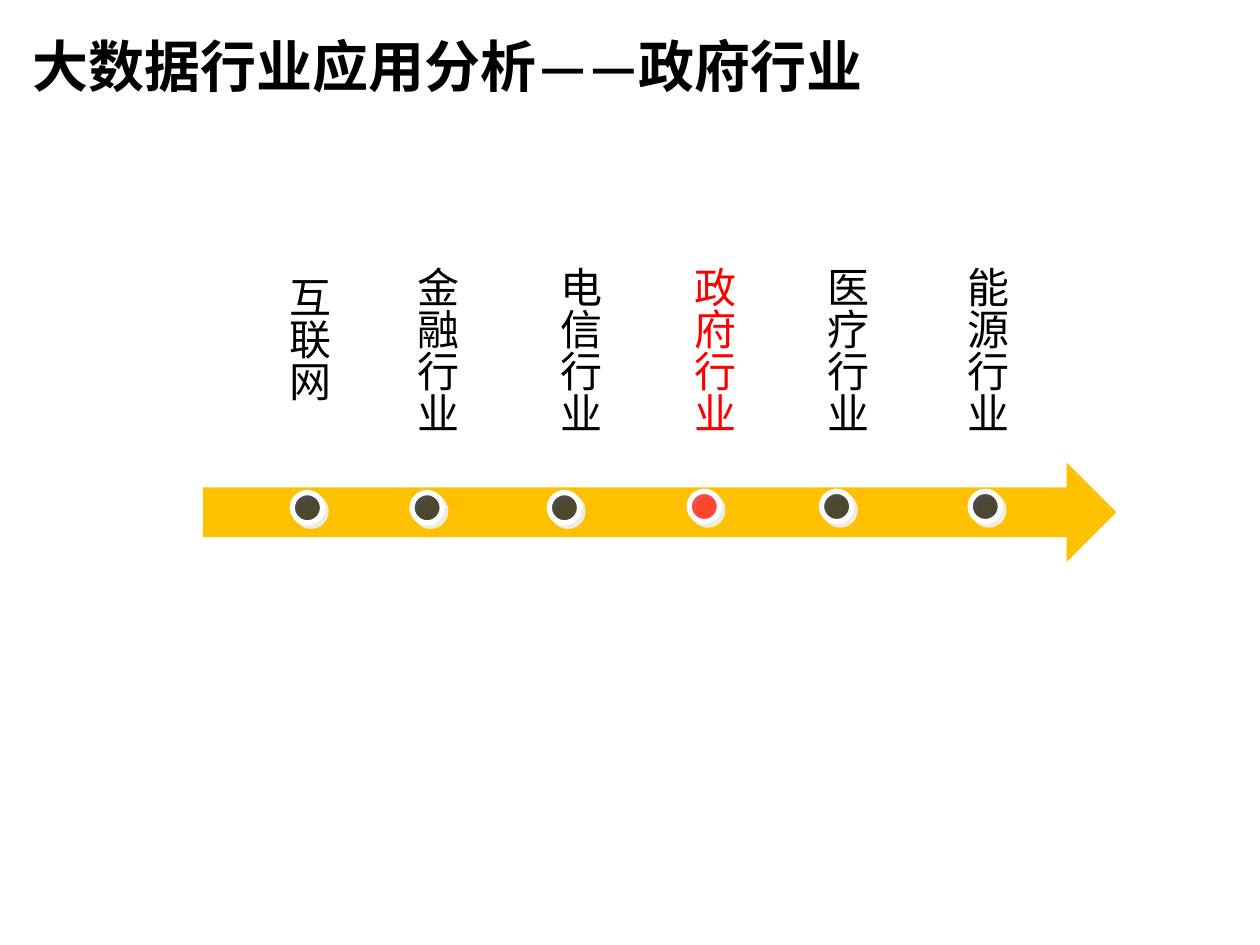
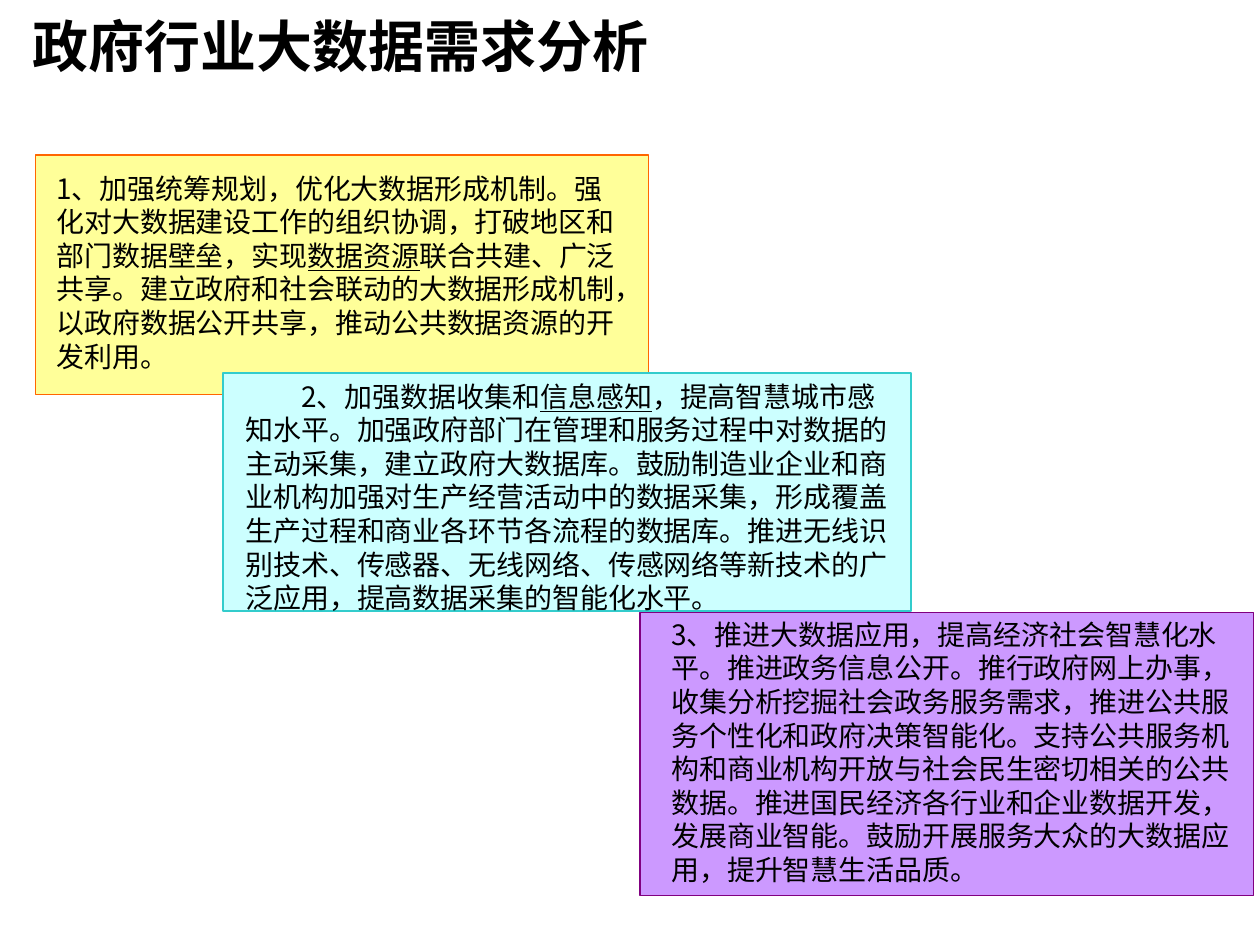
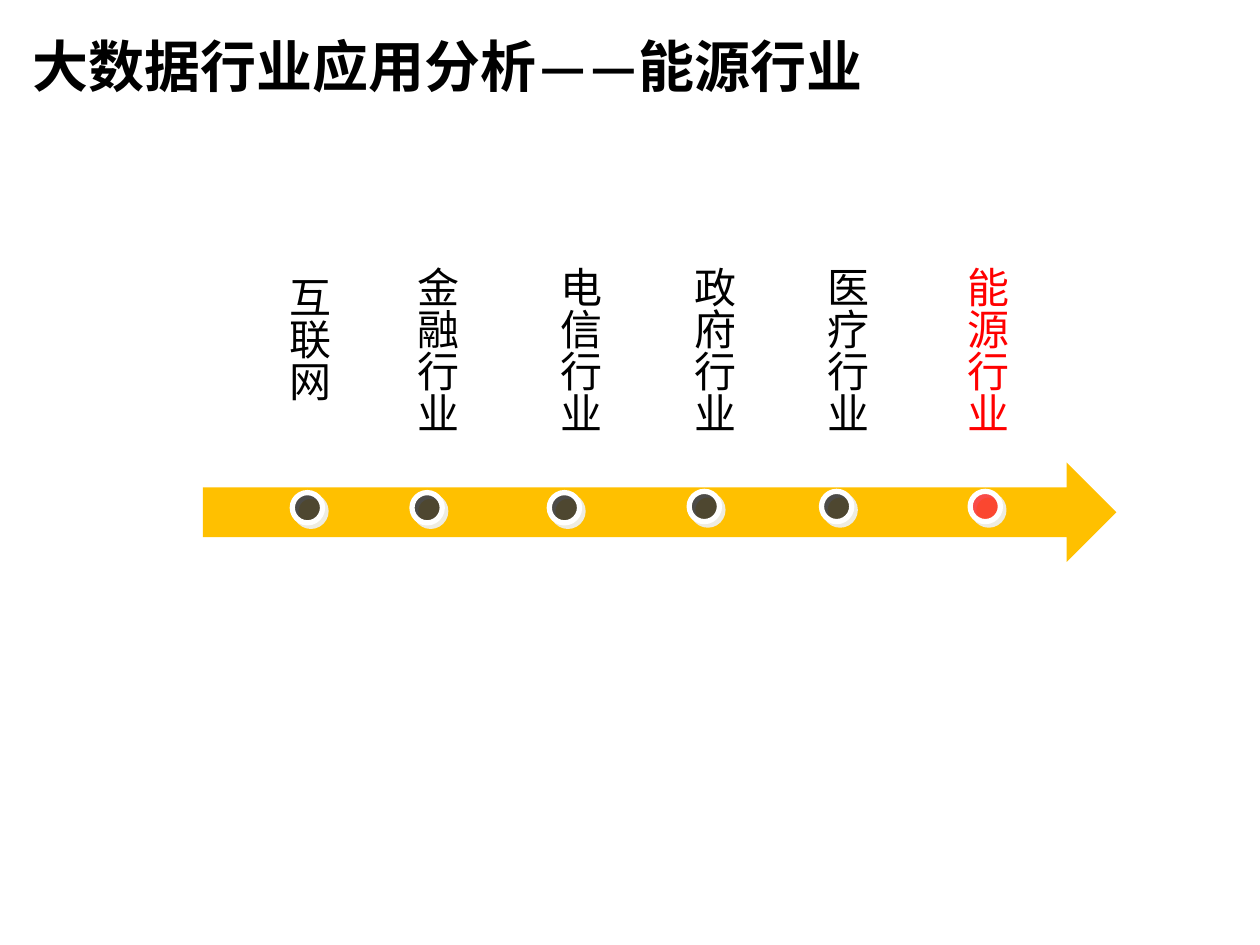
from lxml import etree
from pptx import Presentation
from pptx.dml.color import RGBColor
from pptx.enum.shapes import MSO_SHAPE as Shape
from pptx.enum.text import MSO_ANCHOR as Anchor, MSO_AUTO_SIZE as AutoSize, PP_ALIGN as Align
from pptx.oxml import parse_xml
from pptx.oxml.ns import nsdecls, qn
from pptx.util import Inches, Pt

BLACK, WHITE, RED, AMBER, SHADOW = "000000", "FFFFFF", "FF0000", "FFC000", "EEECE1"
TITLE_FONT, BODY_FONT = "Calibri", "Noto Sans CJK SC"


def color(hex_code):
    return RGBColor.from_string(hex_code)


def write(shape, text, size=16, font=BODY_FONT, hex_code=BLACK, bold=False,
          underlined="", indent=0, line_spacing=1.2, anchor=Anchor.TOP, vertical=False):
    frame = shape.text_frame
    frame.word_wrap = True
    frame.auto_size = AutoSize.NONE
    frame.vertical_anchor = anchor
    if vertical:
        frame._txBody.bodyPr.set("vert", "eaVert")
    paragraph = frame.paragraphs[0]
    paragraph.alignment = Align.LEFT
    if line_spacing:
        paragraph.line_spacing = Pt(size * line_spacing)
    if indent:
        paragraph._p.get_or_add_pPr().set("indent", str(indent))
    before, match, after = text.partition(underlined) if underlined else (text, "", "")
    for part in filter(None, (before, match, after)):
        run = paragraph.add_run()
        run.text = part
        run.font.size = Pt(size)
        run.font.name = font
        run.font.bold = bold
        run.font.underline = bool(match) and part == match
        run.font.color.rgb = color(hex_code)
        etree.SubElement(run.font._element, qn("a:ea"), typeface=font)


presentation = Presentation()
presentation.slide_width = Inches(10)
presentation.slide_height = Inches(7.5)
unit = presentation.slide_width // 1000

titles = [
    ("大数据行业应用分析——政府行业", 13),
    ("政府行业大数据需求分析", -3),
    ("大数据行业应用分析——能源行业", 13),
]
slides = []
for title, top in titles:
    slide = presentation.slides.add_slide(presentation.slide_layouts[5])
    heading = slide.shapes.title
    heading.left, heading.top = 16 * unit, top * unit
    heading.width, heading.height = 900 * unit, 78 * unit
    write(heading, title, size=32, font=TITLE_FONT, bold=True,
          line_spacing=None, anchor=Anchor.MIDDLE)
    slides.append(slide)
government_slide, needs_slide, energy_slide = slides

industries = [
    ("互联网", 209, 210, 232, 391),
    ("金融行业", 311, 202, 327, 391),
    ("电信行业", 424, 202, 436, 391),
    ("政府行业", 531, 202, 547, 390),
    ("医疗行业", 636, 202, 652, 390),
    ("能源行业", 747, 202, 770, 390),
]
for slide, current in ((government_slide, "政府行业"), (energy_slide, "能源行业")):
    arrow = slide.shapes.add_shape(
        Shape.RIGHT_ARROW, 161 * unit, 367 * unit, 725 * unit, 79 * unit)
    arrow.shadow.inherit = False
    arrow.fill.solid()
    arrow.fill.fore_color.rgb = color(AMBER)
    arrow.line.fill.background()
    for industry, label_left, label_top, dot_left, dot_top in industries:
        hex_code = RED if industry == current else BLACK
        dot = slide.shapes.add_shape(
            Shape.OVAL, dot_left * unit, dot_top * unit, 24 * unit, 24 * unit)
        dot.fill.solid()
        dot.fill.fore_color.rgb = color(hex_code)
        fill_color = dot._element.spPr.find(qn("a:solidFill"))[0]
        etree.SubElement(fill_color, qn("a:alpha"), val="68000")
        dot.line.color.rgb = color(WHITE)
        dot.line.width = Pt(3)
        dot._element.spPr.append(parse_xml(
            f'<a:effectLst {nsdecls("a")}>'
            f'<a:outerShdw dist="{Pt(2.8)}" dir="2700000" algn="tl" rotWithShape="0">'
            f'<a:srgbClr val="{SHADOW}"/></a:outerShdw></a:effectLst>'))
        label = slide.shapes.add_textbox(
            label_left * unit, label_top * unit, 61 * unit, 165 * unit)
        write(label, industry, size=24, hex_code=hex_code, vertical=True)

needs = [
    ((28, 123, 487, 190), "FFFF99", "FF6600", (35, 131, 465, 172), 0, "数据资源",
     "1、加强统筹规划，优化大数据形成机制。强化对大数据建设工作的组织协调，"
     "打破地区和部门数据壁垒，实现数据资源联合共建、广泛共享。"
     "建立政府和社会联动的大数据形成机制，以政府数据公开共享，推动公共数据资源的开发利用。"),
    ((177, 296, 546, 189), "CCFFFF", "33CCCC", (185, 296, 535, 225), Pt(32), "信息感知",
     "2、加强数据收集和信息感知，提高智慧城市感知水平。"
     "加强政府部门在管理和服务过程中对数据的主动采集，建立政府大数据库。"
     "鼓励制造业企业和商业机构加强对生产经营活动中的数据采集，"
     "形成覆盖生产过程和商业各环节各流程的数据库。"
     "推进无线识别技术、传感器、无线网络、传感网络等新技术的广泛应用，"
     "提高数据采集的智能化水平。"),
    ((508, 486, 487, 225), "CC99FF", "800080", (523, 485, 465, 225), 0, "",
     "3、推进大数据应用，提高经济社会智慧化水平。推进政务信息公开。"
     "推行政府网上办事，收集分析挖掘社会政务服务需求，"
     "推进公共服务个性化和政府决策智能化。"
     "支持公共服务机构和商业机构开放与社会民生密切相关的公共数据。"
     "推进国民经济各行业和企业数据开发，发展商业智能。"
     "鼓励开展服务大众的大数据应用，提升智慧生活品质。"),
]
for panel_box, fill, outline, text_box, indent, underlined, text in needs:
    panel = needs_slide.shapes.add_shape(
        Shape.RECTANGLE, *(length * unit for length in panel_box))
    panel.shadow.inherit = False
    panel.fill.solid()
    panel.fill.fore_color.rgb = color(fill)
    panel.line.color.rgb = color(outline)
    panel.line.width = Pt(0.75)
    need = needs_slide.shapes.add_textbox(*(length * unit for length in text_box))
    write(need, text, underlined=underlined, indent=indent)

presentation.save("out.pptx")
